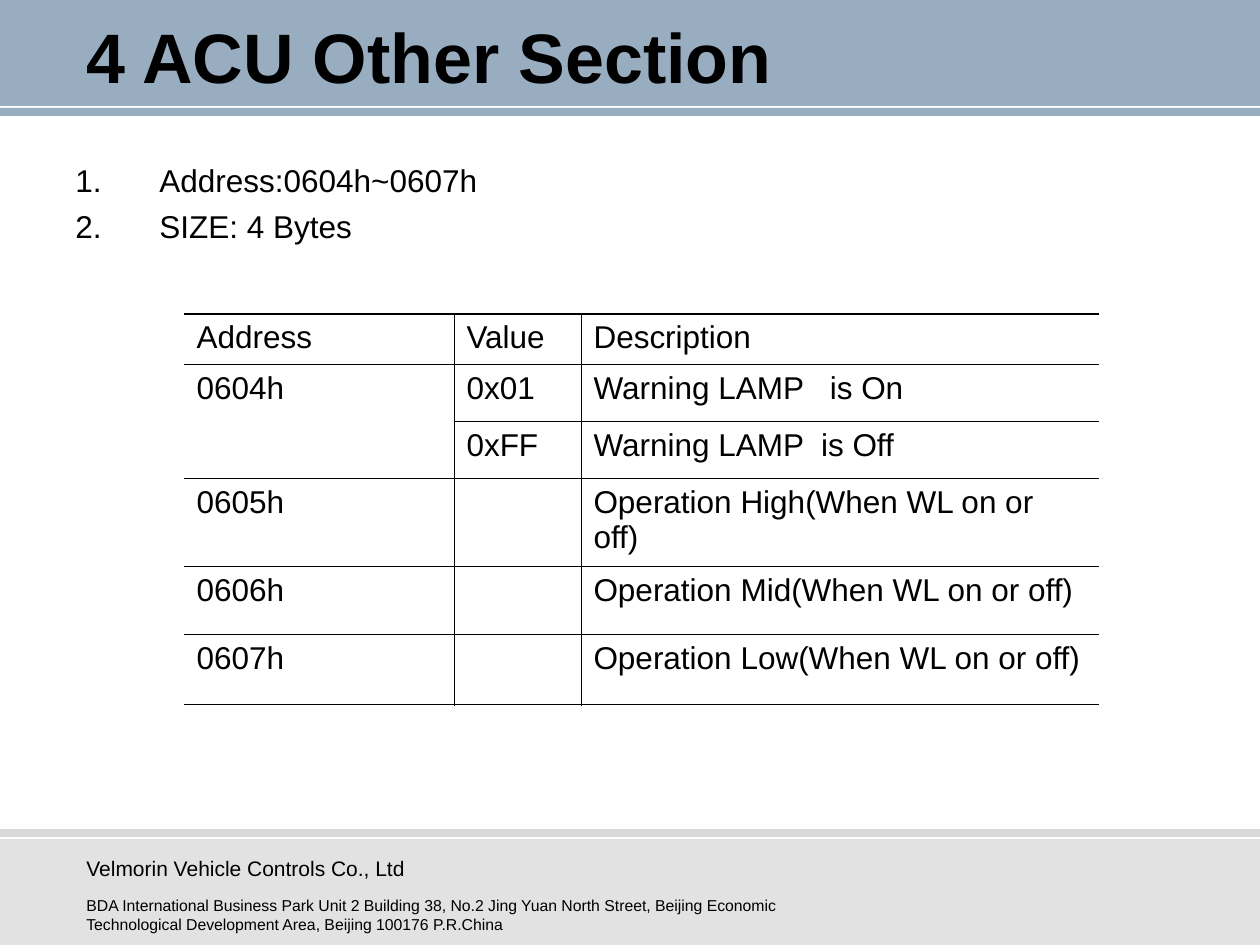
import pptx
import pptx.dml.color
import pptx.enum.shapes
import pptx.enum.text
import pptx.util
from pptx.oxml.ns import qn
from lxml import etree

PX = 914400 / 126
BLACK = "000000"
NAVY = "003366"
SILVER = "C0C0C0"

COLS = [270, 127, 518]
ROWS = [48, 57, 57, 84, 68, 70]
CELLS = [
    ["Address", "Value", "Description"],
    ["0604h", "0x01", "Warning LAMP   is On"],
    ["", "0xFF", "Warning LAMP  is Off"],
    ["0605h", "", "Operation High(When WL on or off)"],
    ["0606h", "", "Operation Mid(When WL on or off)"],
    ["0607h", "", "Operation Low(When WL on or off)"],
]


def px(num):
    return pptx.util.Emu(round(num * PX))


def rgb(code):
    return pptx.dml.color.RGBColor.from_string(code)


def style(para, size, bold=False):
    font = para.font
    font.name = "Arial"
    font.size = pptx.util.Pt(size)
    font.bold = bold
    font.color.rgb = rgb(BLACK)


def band(slide, top, height, color, alpha):
    """Draw a full-width bar; alpha is its opacity in percent."""
    kind = pptx.enum.shapes.MSO_SHAPE.RECTANGLE
    bar = slide.shapes.add_shape(kind, 0, px(top), px(1260), px(height))
    bar.shadow.inherit = False
    bar.line.fill.background()
    bar.fill.solid()
    bar.fill.fore_color.rgb = rgb(color)
    tone = bar.fill._xPr.find(".//" + qn("a:srgbClr"))
    etree.SubElement(tone, qn("a:alpha"), val=str(alpha * 1000))


def text(slide, box, lines, size, bold=False):
    frame = slide.shapes.add_textbox(*map(px, box)).text_frame
    frame.word_wrap = True
    frame.text = "\n".join(lines)
    for para in frame.paragraphs:
        style(para, size, bold)
    return frame


def number(frame, indent):
    """Number the paragraphs with a hanging indent."""
    for para in frame.paragraphs:
        para.space_before = pptx.util.Pt(4.5)
        props = para._p.get_or_add_pPr()
        props.set("marL", str(px(indent)))
        props.set("indent", str(-px(indent)))
        mark = etree.Element(qn("a:buAutoNum"), type="arabicPeriod")
        props.find(qn("a:defRPr")).addprevious(mark)


def border(cell, widths):
    """Set left, right, top and bottom lines in points; 0 means none."""
    props = cell._tc.get_or_add_tcPr()
    for spot, (side, width) in enumerate(zip("LRTB", widths)):
        line = etree.Element(qn("a:ln" + side), w=str(pptx.util.Pt(width)))
        if width:
            fill = etree.SubElement(line, qn("a:solidFill"))
            etree.SubElement(fill, qn("a:srgbClr"), val=BLACK)
        else:
            etree.SubElement(line, qn("a:noFill"))
        props.insert(spot, line)


def grid(slide, left, top):
    frame = slide.shapes.add_table(
        len(ROWS), len(COLS), px(left), px(top), px(sum(COLS)), px(sum(ROWS)))
    table = frame.table
    table.first_row = table.horz_banding = False
    for col, width in zip(table.columns, COLS):
        col.width = px(width)
    for row, height in zip(table.rows, ROWS):
        row.height = px(height)
    thin, thick = 0.45, 1.08
    for r, words in enumerate(CELLS):
        for c, word in enumerate(words):
            cell = table.cell(r, c)
            cell.text = word
            style(cell.text_frame.paragraphs[0], 18)
            cell.fill.background()
            border(cell, [
                thin if c else 0,
                thin if c < len(COLS) - 1 else 0,
                thin if r else thick,
                thin if r < len(ROWS) - 1 else thick,
            ])
    table.cell(1, 0).merge(table.cell(2, 0))


def main():
    deck = pptx.Presentation()
    deck.slide_width, deck.slide_height = px(1260), px(945)
    slide = deck.slides.add_slide(deck.slide_layouts[6])

    band(slide, 0, 106, NAVY, 40)
    band(slide, 108, 8, NAVY, 40)
    band(slide, 829, 8, SILVER, 60)
    band(slide, 839, 106, SILVER, 46)

    title = text(slide, (74, 16, 1112, 79), ["4 ACU Other Section"], 40, True)
    title.vertical_anchor = pptx.enum.text.MSO_ANCHOR.MIDDLE
    facts = ["Address:0604h~0607h", "SIZE: 4 Bytes"]
    number(text(slide, (63, 155, 1153, 655), facts, 18), 84)
    grid(slide, 184, 314)

    text(slide, (74, 849, 804, 39),
         ["Velmorin Vehicle Controls Co., Ltd"], 12)
    text(slide, (74, 890, 804, 55),
         ["BDA International Business Park Unit 2 Building 38, No.2 Jing Yuan "
          "North Street, Beijing Economic Technological Development Area, "
          "Beijing 100176 P.R.China"], 9)
    deck.save("out.pptx")


if __name__ == "__main__":
    main()
